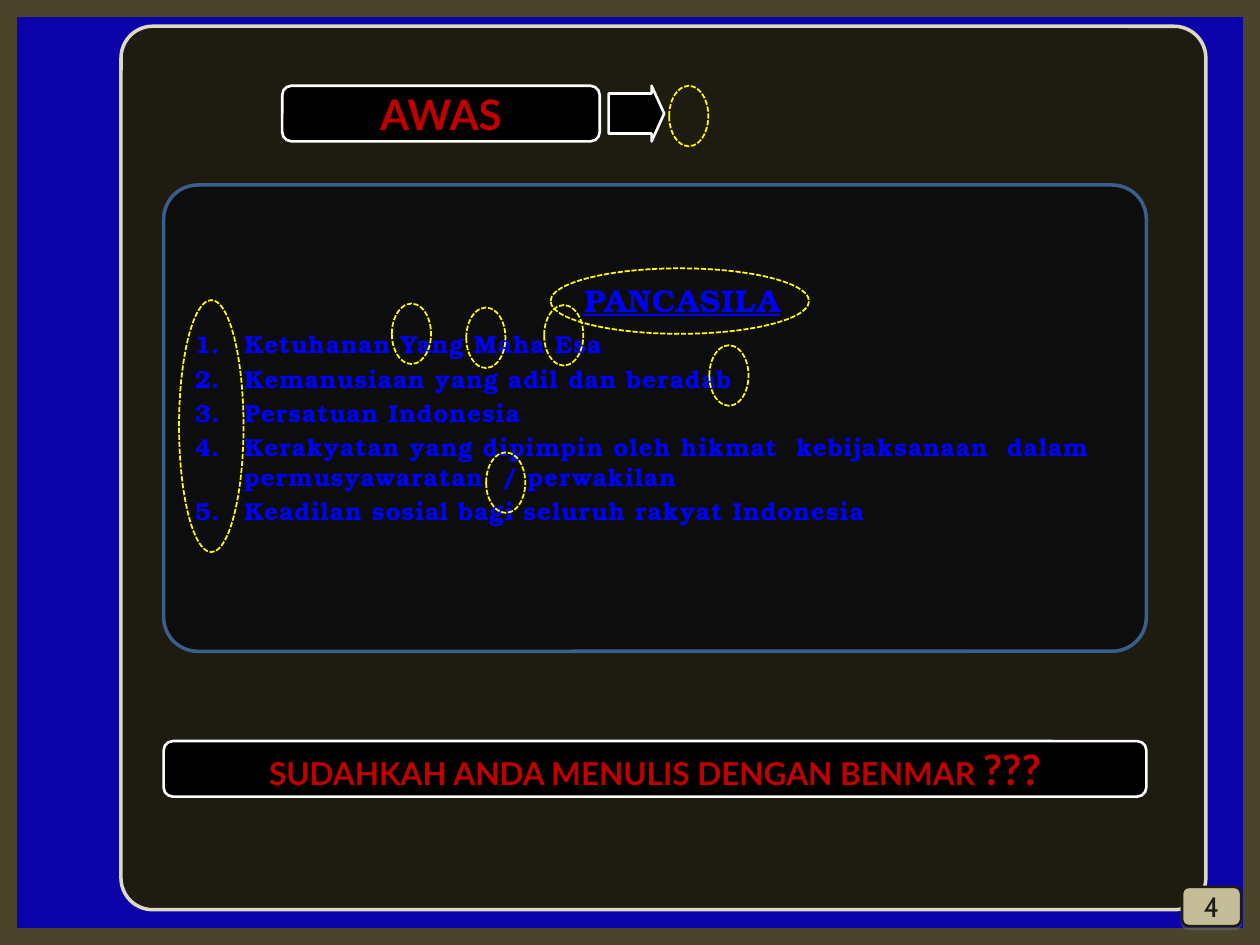
"""Build the Pancasila spelling-check slide."""
from lxml.etree import SubElement
from pptx import Presentation
from pptx.dml.color import RGBColor
from pptx.enum.dml import MSO_LINE
from pptx.enum.shapes import MSO_SHAPE
from pptx.enum.text import MSO_ANCHOR, PP_ALIGN
from pptx.oxml.ns import qn
from pptx.util import Cm, Pt

COLORS = {
    "background": "0B03A9", "panel": "1E1C11", "panel_edge": "DDD9C3",
    "board": "0D0D0D", "board_edge": "3A5F8C", "frame": "4A452A",
    "badge": "C4BD97", "black": "000000", "white": "FFFFFF",
    "warning": "C00000", "blue": "0000FF", "mark": "FFFF00", "shadow": "808080",
}


def add_block(kind, box, fill, edge, width, adjustments=()):
    block = slide.shapes.add_shape(kind, *[Cm(length) for length in box])
    block.shadow.inherit = False
    for index, value in enumerate(adjustments):
        block.adjustments[index] = value
    if fill:
        block.fill.solid()
        block.fill.fore_color.rgb = RGBColor.from_string(COLORS[fill])
    else:
        block.fill.background()
    block.line.color.rgb = RGBColor.from_string(COLORS[edge])
    block.line.width = Pt(width)
    return block


def style(paragraph, font_name, size, color, bold=True):
    paragraph.font.name = font_name
    paragraph.font.size = Pt(size)
    paragraph.font.bold = bold
    paragraph.font.color.rgb = RGBColor.from_string(COLORS[color])


deck = Presentation()
deck.slide_width, deck.slide_height = Cm(25.4), Cm(19.05)
slide = deck.slides.add_slide(deck.slide_layouts[6])
slide.background.fill.solid()
slide.background.fill.fore_color.rgb = RGBColor.from_string(COLORS["background"])

ROUNDED = MSO_SHAPE.ROUNDED_RECTANGLE
add_block(ROUNDED, (2.44, 0.53, 21.87, 17.81), "panel", "panel_edge", 2, [0.036])
add_block(ROUNDED, (3.3, 3.73, 19.81, 9.4), "board", "board_edge", 2, [0.073])
add_block(MSO_SHAPE.FRAME, (0, 0, 25.4, 19.05), "frame", "frame", 2, [0.016])

page_badge = add_block(ROUNDED, (23.83, 17.88, 1.19, 0.79), "badge", "panel", 1.5)
effects = page_badge._element.spPr.find(qn("a:effectLst"))
badge_shadow = SubElement(effects, qn("a:outerShdw"), blurRad="0", dist=str(Pt(1.6)),
                          dir="5400000", rotWithShape="0")
shadow_color = SubElement(badge_shadow, qn("a:srgbClr"), val=COLORS["shadow"])
SubElement(shadow_color, qn("a:alpha"), val="38000")

warning = add_block(ROUNDED, (5.69, 1.73, 6.4, 1.12), "black", "white", 1.5)
question = add_block(ROUNDED, (3.3, 14.94, 19.81, 1.12), "black", "white", 1.5)
for label, words, font_name, size, color, bold in [
    (page_badge, "4", "Cabin", 16, "panel", False),
    (warning, "AWAS", "Lato", 24, "warning", True),
    (question, "SUDAHKAH ANDA MENULIS DENGAN BENMAR ", "Lato", 18, "warning", True),
]:
    label.text_frame.vertical_anchor = MSO_ANCHOR.MIDDLE
    line = label.text_frame.paragraphs[0]
    line.alignment = PP_ALIGN.CENTER
    line.add_run().text = words
    style(line, font_name, size, color, bold)
question_marks = question.text_frame.paragraphs[0].add_run()
question_marks.text = "???"
question_marks.font.size = Pt(24)

pancasila = slide.shapes.add_textbox(Cm(3.68), Cm(5.54), Cm(20.14), Cm(5.31)).text_frame
pancasila.word_wrap = True
heading = pancasila.paragraphs[0]
heading.alignment = PP_ALIGN.CENTER
heading.space_before = Pt(3.6)
heading.add_run().text = "PANCASILA"
style(heading, "TeX Gyre Bonum", 18, "blue")
heading.font.underline = True

principles = [
    "Ketuhanan Yang Maha Esa",
    "Kemanusiaan yang adil dan beradab",
    "Persatuan Indonesia",
    "Kerakyatan yang dipimpin oleh hikmat  kebijaksanaan  dalam "
    "permusyawaratan  / perwakilan",
    "Keadilan sosial bagi seluruh rakyat Indonesia",
]
for number, principle in enumerate(principles, 1):
    item = pancasila.add_paragraph()
    item.add_run().text = principle
    item.space_before = Pt(6 if number == 1 else 2.8)
    style(item, "TeX Gyre Bonum", 14, "blue")
    properties = item._p.get_or_add_pPr()
    properties.set("marL", str(Cm(0.99)))
    properties.set("indent", str(-Cm(0.99)))
    numbering = SubElement(properties, qn("a:buAutoNum"), type="arabicPeriod")
    properties.find(qn("a:defRPr")).addprevious(numbering)
for paragraph in pancasila.paragraphs:
    for run in paragraph.runs:
        run._r.get_or_add_rPr().set("spc", "50")

add_block(MSO_SHAPE.RIGHT_ARROW, (12.27, 1.73, 1.12, 1.12), "black", "white", 1.5,
          [0.719, 0.226])

letter_marks = [(7.9, 6.12), (9.4, 6.2), (10.97, 6.15), (14.3, 6.96), (9.8, 9.12),
                (13.49, 1.73)]
heading_mark = (11.1, 5.41, 5.21, 1.32)
number_mark = (3.61, 6.05, 1.3, 5.08)
for box in [heading_mark, number_mark] + [(*corner, 0.79, 1.22) for corner in letter_marks]:
    mark = add_block(MSO_SHAPE.OVAL, box, None, "mark", 1)
    mark.line.dash_style = MSO_LINE.SQUARE_DOT

deck.save("out.pptx")
